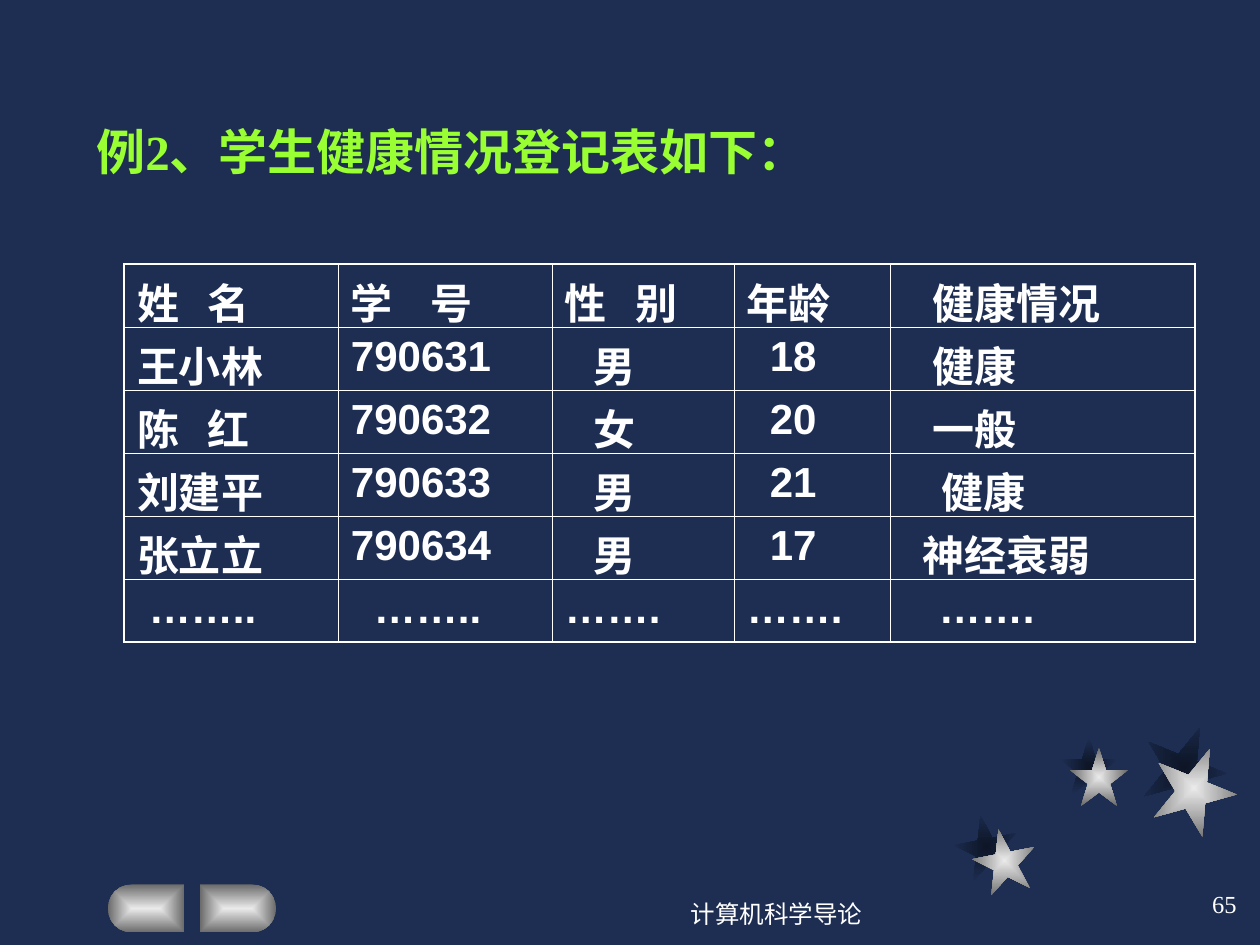
import math
from dataclasses import dataclass

from pptx import Presentation
from pptx import util as u
from pptx.dml.color import RGBColor
from pptx.enum import shapes, text
from pptx.oxml import parse_xml
from pptx.oxml.ns import nsdecls, qn

NAVY = RGBColor(0x1E, 0x2E, 0x53)
DARK_NAVY = RGBColor(0x0D, 0x15, 0x26)
SILVER = RGBColor(0xEA, 0xEA, 0xEA)
GRAY = RGBColor(0x6B, 0x6B, 0x6B)
LIME = RGBColor(0x99, 0xFF, 0x33)
WHITE = RGBColor(0xFF, 0xFF, 0xFF)

EMU_PER_PX = 914400 / 126
INSET = 13
ROW_HEIGHT = 63
COLUMNS = (214, 214, 182, 157, 304)
TABLE_LEFT, TABLE_TOP = 124, 264
THIN, THICK = u.Pt(0.45), u.Pt(1.08)


@dataclass(frozen=True)
class Star:
    left: int
    top: int
    size: int
    rotation: int
    inner: RGBColor
    outer: RGBColor


@dataclass(frozen=True)
class Pill:
    flat_x: int
    direction: int


@dataclass(frozen=True)
class Label:
    words: str
    left: int
    top: int
    width: int
    align: text.PP_ALIGN


@dataclass(frozen=True)
class Entry:
    words: str
    indent: int = 0
    tab: int = 0


STARS = (
    Star(955, 815, 63, 349, DARK_NAVY, NAVY),
    Star(1060, 737, 58, 0, DARK_NAVY, NAVY),
    Star(1142, 725, 84, 22, DARK_NAVY, NAVY),
    Star(973, 829, 63, 349, SILVER, GRAY),
    Star(1070, 748, 58, 0, SILVER, GRAY),
    Star(1152, 746, 84, 22, SILVER, GRAY),
)
PILLS = (Pill(184, -1), Pill(200, 1))
LABELS = (
    Label("计算机科学导论", 577, 882, 399, text.PP_ALIGN.CENTER),
    Label("65", 987, 872, 262, text.PP_ALIGN.RIGHT),
)


def student(name: Entry, number: str, sex: str, age: str, health: Entry) -> tuple[Entry, ...]:
    return name, Entry(number), Entry(sex, 29), Entry(age, 23), health


ROWS = (
    (Entry("姓\t名", tab=71), Entry("学\t号", tab=80), Entry("性\t别", tab=71),
     Entry("年龄"), Entry("健康情况", 29)),
    student(Entry("王小林"), "790631", "男", "18", Entry("健康", 29)),
    student(Entry("陈\t红", tab=71), "790632", "女", "20", Entry("一般", 29)),
    student(Entry("刘建平"), "790633", "男", "21", Entry("健康", 38)),
    student(Entry("张立立"), "790634", "男", "17", Entry("神经衰弱", 19)),
    (Entry("……..", 12), Entry("……..", 23), Entry("……."), Entry("……."), Entry("…….", 35)),
)


def px(n: float) -> u.Emu:
    return u.Emu(round(n * EMU_PER_PX))


def set_font(p, name: str, size: int, color: RGBColor, bold: bool = False) -> None:
    p.font.name = name
    p.font.size = u.Pt(size)
    p.font.bold = bold
    p.font.color.rgb = color


def shade_from_center(sp, inner: RGBColor, outer: RGBColor) -> None:
    sp.shadow.inherit = False
    sp.line.fill.background()
    sp.fill.gradient()
    for stop, color in zip(sp.fill.gradient_stops, (inner, outer)):
        stop.color.rgb = color
    grad = sp.element.spPr.find(qn("a:gradFill"))
    grad.replace(grad.find(qn("a:lin")), parse_xml(
        f'<a:path {nsdecls("a")} path="rect">'
        '<a:fillToRect l="50000" t="50000" r="50000" b="50000"/></a:path>'))


def draw_star(slide, star: Star) -> None:
    sp = slide.shapes.add_shape(shapes.MSO_SHAPE.STAR_5_POINT, px(star.left), px(star.top),
                                px(star.size), px(star.size))
    sp.rotation = star.rotation
    shade_from_center(sp, star.inner, star.outer)


def draw_pill(slide, pill: Pill) -> None:
    radius, straight, top = 24, 52, 884.5
    center_x = pill.flat_x + pill.direction * straight
    angles = [math.radians(a) for a in range(-90, 91, 15)]
    arc = [(px(center_x + pill.direction * radius * math.cos(a)),
            px(top + radius + radius * math.sin(a))) for a in angles]
    builder = slide.shapes.build_freeform(px(pill.flat_x), px(top))
    builder.add_line_segments(arc + [(px(pill.flat_x), px(top + 2 * radius))], close=True)
    shade_from_center(builder.convert_to_shape(), SILVER, GRAY)


def draw_title(slide) -> None:
    sp = slide.shapes.title
    sp.left, sp.top, sp.width, sp.height = px(84), px(115), px(784), px(72)
    tf = sp.text_frame
    tf.text = "例2、学生健康情况登记表如下："
    tf.word_wrap = True
    tf.auto_size = text.MSO_AUTO_SIZE.SHAPE_TO_FIT_TEXT
    tf.vertical_anchor = text.MSO_ANCHOR.TOP
    p = tf.paragraphs[0]
    p.alignment = text.PP_ALIGN.LEFT
    set_font(p, "Times New Roman", 28, LIME, bold=True)


def draw_label(slide, label: Label) -> None:
    sp = slide.shapes.add_textbox(px(label.left), px(label.top), px(label.width), px(63))
    tf = sp.text_frame
    tf.text = label.words
    tf.word_wrap = True
    tf.vertical_anchor = text.MSO_ANCHOR.MIDDLE
    p = tf.paragraphs[0]
    p.alignment = label.align
    set_font(p, "Times New Roman", 14, WHITE)


def draw_cell(cell, entry: Entry, thick_sides: dict[str, bool]) -> None:
    tc_pr = cell._tc.get_or_add_tcPr()
    for side, thick in thick_sides.items():
        tc_pr.append(parse_xml(
            f'<a:ln{side} {nsdecls("a")} w="{THICK if thick else THIN}">'
            f'<a:solidFill><a:srgbClr val="{WHITE}"/></a:solidFill></a:ln{side}>'))
    cell.fill.background()
    cell.margin_left = px(INSET + entry.indent)
    p = cell.text_frame.paragraphs[0]
    p.add_run().text = entry.words
    if entry.tab:
        p._p.get_or_add_pPr().append(parse_xml(
            f'<a:tabLst {nsdecls("a")}><a:tab pos="{px(entry.tab)}" algn="l"/></a:tabLst>'))
    set_font(p, "Arial", 24, WHITE, bold=True)


def draw_table(slide) -> None:
    last_row, last_col = len(ROWS) - 1, len(COLUMNS) - 1
    table = slide.shapes.add_table(len(ROWS), len(COLUMNS), px(TABLE_LEFT), px(TABLE_TOP),
                                   px(sum(COLUMNS)), px(ROW_HEIGHT * len(ROWS))).table
    table.first_row = table.horz_banding = False
    for column, width in zip(table.columns, COLUMNS):
        column.width = px(width)
    for r, entries in enumerate(ROWS):
        table.rows[r].height = px(ROW_HEIGHT)
        for c, entry in enumerate(entries):
            draw_cell(table.cell(r, c), entry,
                      {"L": c == 0, "R": c == last_col, "T": r == 0, "B": r == last_row})


def main() -> None:
    prs = Presentation()
    prs.slide_width, prs.slide_height = px(1260), px(945)
    slide = prs.slides.add_slide(prs.slide_layouts[5])
    slide.background.fill.solid()
    slide.background.fill.fore_color.rgb = NAVY
    for star in STARS:
        draw_star(slide, star)
    for pill in PILLS:
        draw_pill(slide, pill)
    draw_title(slide)
    draw_table(slide)
    for label in LABELS:
        draw_label(slide, label)
    prs.save("out.pptx")


if __name__ == "__main__":
    main()
